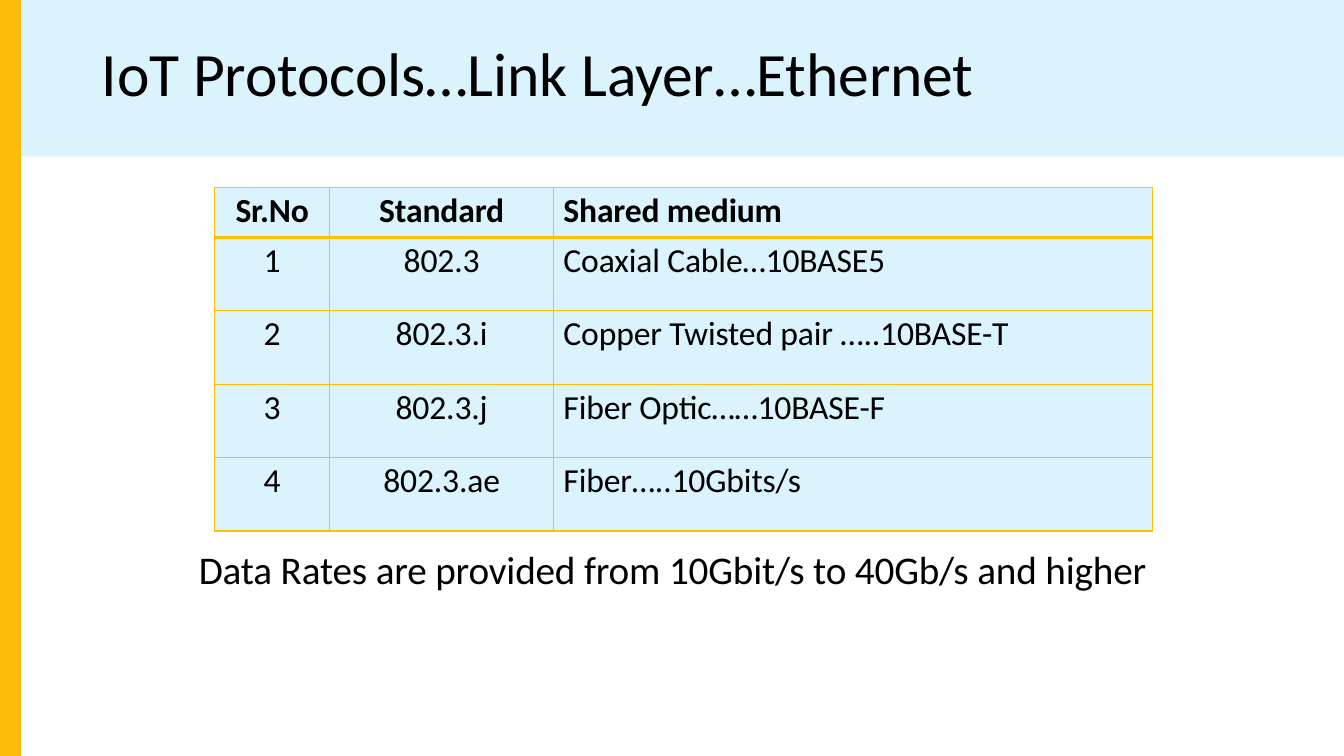
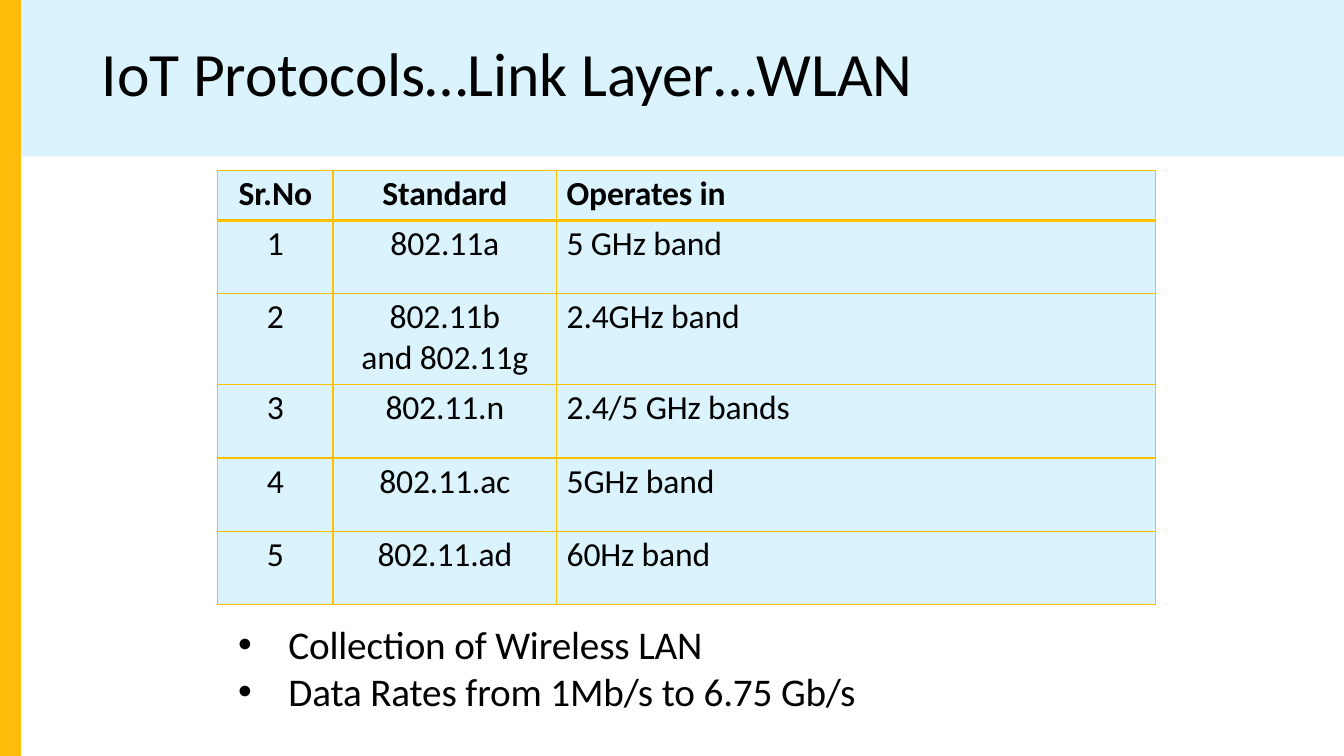
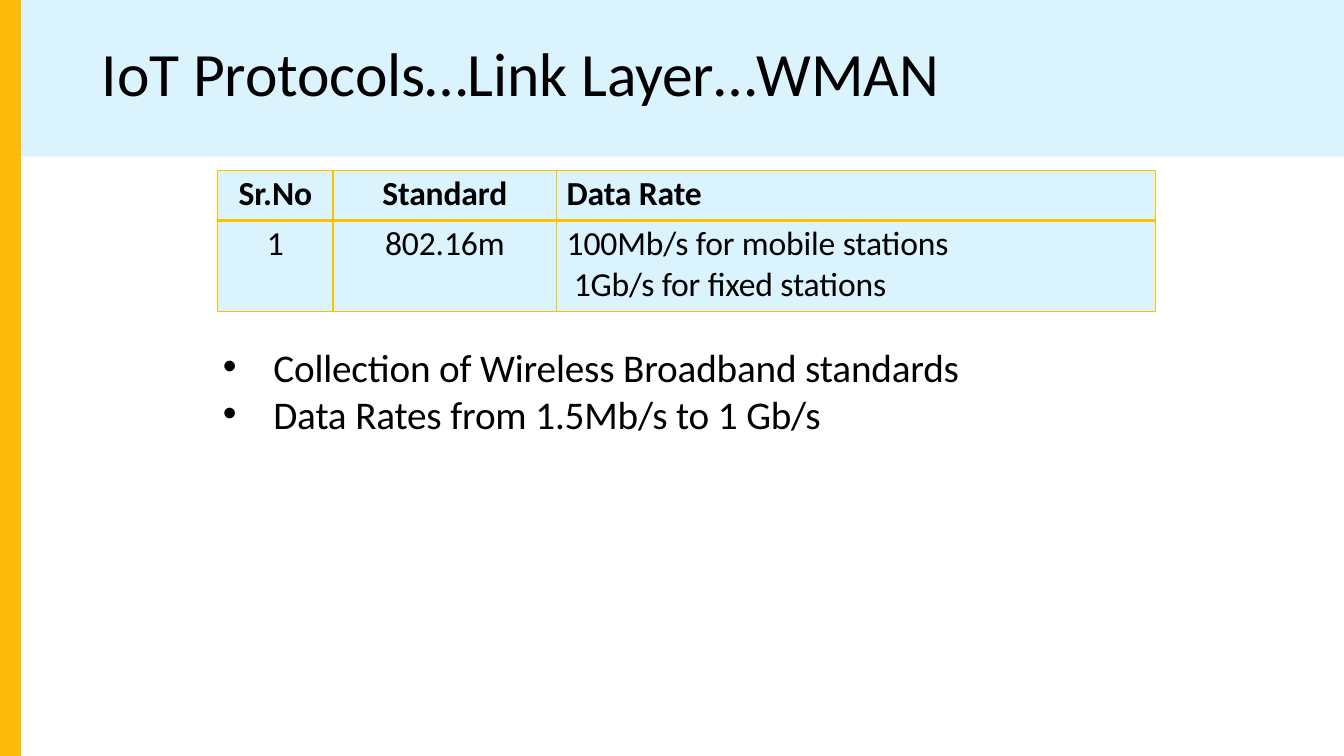
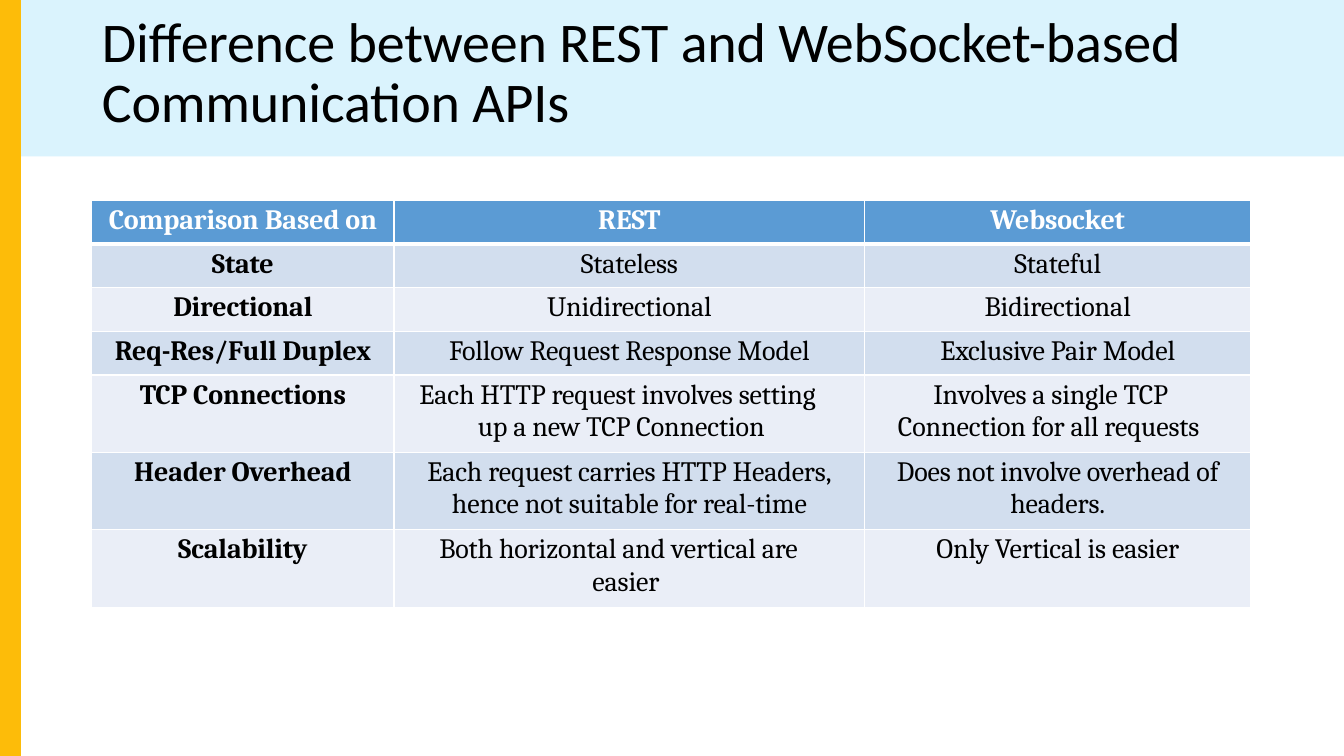
from lxml import etree
from pptx import Presentation
from pptx.dml.color import RGBColor
from pptx.enum.shapes import MSO_SHAPE
from pptx.enum.text import PP_ALIGN
from pptx.oxml.ns import qn
from pptx.util import Cm, Pt

RECT = MSO_SHAPE.RECTANGLE
LEFT, MID = PP_ALIGN.LEFT, PP_ALIGN.CENTER
HUES = {
    "ink": "000000", "white": "FFFFFF", "sky": "DAF3FD", "gold": "FDBC09",
    "rule": "FFC000", "blue": "5B9BD4", "dark": "D2DEEE", "pale": "EAEEF7",
}
SANS, SERIF = "Calibri", "Cambria"
WIDE, HIGH = 33.87, 19.05
SIDE, BAND = 0.53, 3.94
COLS = (2.9, 5.64, 15.09)
HEAD, ROW, TALL = 1.26, 1.85, 2.29

WIRED = [
    ("Sr.No", "Standard", "Shared medium"),
    ("1", "802.3", "Coaxial Cable…10BASE5"),
    ("2", "802.3.i", "Copper Twisted pair …..10BASE-T"),
    ("3", "802.3.j", "Fiber Optic……10BASE-F"),
    ("4", "802.3.ae", "Fiber…..10Gbits/s"),
]
LOCAL = [
    ("Sr.No", "Standard", "Operates in"),
    ("1", "802.11a", "5 GHz band"),
    ("2", "802.11b\nand 802.11g", "2.4GHz band"),
    ("3", "802.11.n", "2.4/5 GHz bands"),
    ("4", "802.11.ac", "5GHz band"),
    ("5", "802.11.ad", "60Hz band"),
]
METRO = [
    ("Sr.No", "Standard", "Data Rate"),
    ("1", "802.16m",
     ("100Mb/s for mobile stations\n1Gb/s for fixed stations", 0.43, -0.18)),
]
# A tuple holds text, left indent and first-line indent.
APIS = [
    ("Comparison Based on", "REST", "Websocket"),
    ("State", "Stateless", "Stateful"),
    ("Directional", "Unidirectional", "Bidirectional"),
    ("Req-Res/Full Duplex", "Follow Request Response Model",
     "Exclusive Pair Model"),
    ("TCP Connections",
     ("Each HTTP request involves setting\nup a new TCP Connection",
      2.11, -1.47),
     ("Involves a single TCP\nConnection for all requests", 0.84, 0.89)),
    ("Header Overhead",
     "Each request carries HTTP Headers,\nhence not suitable for real-time",
     "Does not involve overhead of\nheaders."),
    ("Scalability",
     ("Both horizontal and vertical are\neasier", 5, -3.86),
     "Only Vertical is easier"),
]


def tint(name):
    return RGBColor.from_string(HUES[name])


def clear(frame, top):
    """Set the insets of a text frame or table cell."""
    frame.margin_left = frame.margin_right = frame.margin_bottom = 0
    frame.margin_top = Cm(top)


def write(para, text, size, font=SANS, hue="ink", bold=False, gap=0):
    """Add runs to a paragraph, with a line break at each newline."""
    para.space_before = Pt(gap)
    for num, line in enumerate(text.split("\n")):
        if num:
            para.add_line_break()
        run = para.add_run()
        run.text = line
        run.font.size = Pt(size)
        run.font.name = font
        run.font.bold = bold
        run.font.color.rgb = tint(hue)
        run.font._element.set("spc", "-10")


def indent(para, left, first=0):
    props = para._p.get_or_add_pPr()
    props.set("marL", str(Cm(left)))
    props.set("indent", str(Cm(first)))
    return props


def block(slide, x, y, w, h, hue):
    shape = slide.shapes.add_shape(RECT, Cm(x), Cm(y), Cm(w), Cm(h))
    shape.shadow.inherit = False
    shape.fill.solid()
    shape.fill.fore_color.rgb = tint(hue)
    shape.line.fill.background()


def frame(slide, x, y, w, h, top=0.03):
    box = slide.shapes.add_textbox(Cm(x), Cm(y), Cm(w), Cm(h)).text_frame
    box.word_wrap = True
    clear(box, top)
    return box


def page(deck, text, long=False):
    """Add a slide with its band, side stripe and title."""
    slide = deck.slides.add_slide(deck.slide_layouts[6])
    block(slide, SIDE, 0, WIDE - SIDE, BAND, "sky")
    block(slide, 0, 0, SIDE, HIGH, "gold")
    if long:
        para = frame(slide, 2.57, 0.1, 28.78, 3.61, 0.23).paragraphs[0]
        para.line_spacing = Pt(43.2)
        write(para, text, 40, gap=6.4)
    else:
        para = frame(slide, 2.57, 0.86, 28.78, 1.93).paragraphs[0]
        write(para, text, 44, gap=1)
    return slide


def edge(cell, side, hue, width):
    props = cell._tc.get_or_add_tcPr()
    line = etree.SubElement(props, qn("a:ln" + side), w=str(Pt(width)))
    fill = etree.SubElement(line, qn("a:solidFill"))
    etree.SubElement(fill, qn("a:srgbClr"), val=HUES[hue])


def grid(slide, x, y, cols, rows, data, style):
    """Add a table; style(row, col) gives the look of a cell."""
    table = slide.shapes.add_table(
        len(rows), len(cols), Cm(x), Cm(y), Cm(sum(cols)), Cm(sum(rows))).table
    for col, w in zip(table.columns, cols):
        col.width = Cm(w)
    for row, h in zip(table.rows, rows):
        row.height = Cm(h)
    for r, line in enumerate(data):
        for c, item in enumerate(line):
            look = style(r, c)
            cell = table.cell(r, c)
            clear(cell, look["top"])
            thick = {"T": r == 1, "B": r == 0}
            for side in "LRTB":
                edge(cell, side, look["rule"],
                     look["bar"] if thick.get(side) else 1)
            cell.fill.solid()
            cell.fill.fore_color.rgb = tint(look["fill"])
            para = cell.text_frame.paragraphs[0]
            para.alignment = look["align"]
            if isinstance(item, tuple):
                item, left, first = item
                para.alignment = LEFT
                indent(para, left, first)
            elif look["align"] == LEFT:
                indent(para, 0.25)
            write(para, item, **look["text"])


def plain(r, c):
    """Look of the sky-blue tables."""
    return {"top": 0.08, "rule": "rule", "bar": 2.25, "fill": "sky",
            "align": LEFT if c == 2 else MID,
            "text": {"size": 24, "bold": r == 0, "gap": 2}}


def striped(r, c):
    """Look of the comparison table."""
    fill = "blue" if r == 0 else "dark" if r % 2 else "pale"
    return {"top": 0.1, "rule": "white", "bar": 3, "fill": fill, "align": MID,
            "text": {"size": 20, "font": SERIF, "gap": 3,
                     "hue": "ink" if r else "white",
                     "bold": r == 0 or c == 0}}


def notes(slide, x, y, lines, dots=True):
    """Add lines below a table, bulleted if dots is set."""
    box = frame(slide, x, y, 25, 1.24 * len(lines))
    for num, line in enumerate(lines):
        para = box.add_paragraph() if num else box.paragraphs[0]
        write(para, line, 28, gap=0 if num else 0.9)
        if dots:
            props = indent(para, 1.3, -1.27)
            etree.SubElement(props, qn("a:buFont"), typeface="Arial")
            etree.SubElement(props, qn("a:buChar"), char="•")


def main():
    deck = Presentation()
    deck.slide_width, deck.slide_height = Cm(WIDE), Cm(HIGH)
    link = "IoT Protocols…Link Layer…"

    slide = page(deck, link + "Ethernet")
    grid(slide, 5.41, 4.72, COLS, [HEAD] + [ROW] * 4, WIRED, plain)
    notes(slide, 5.01, 13.72,
          ["Data Rates are provided from 10Gbit/s to 40Gb/s and higher"], False)

    slide = page(deck, link + "WLAN")
    grid(slide, 5.49, 4.29, COLS, [HEAD, ROW, TALL] + [ROW] * 3, LOCAL, plain)
    notes(slide, 5.97, 15.6, ["Collection of Wireless LAN",
                              "Data Rates from 1Mb/s to 6.75 Gb/s"])

    slide = page(deck, link + "WMAN")
    grid(slide, 5.49, 4.29, COLS, [HEAD, TALL], METRO, plain)
    notes(slide, 5.59, 8.61, ["Collection of Wireless Broadband standards",
                              "Data Rates from 1.5Mb/s to 1 Gb/s"])

    slide = page(deck, "Difference between REST and WebSocket-based\n"
                 "Communication APIs", True)
    grid(slide, 2.31, 5.05, (7.62, 11.86, 9.73), [1.1] * 4 + [1.95] * 3,
         APIS, striped)
    deck.save("out.pptx")


if __name__ == "__main__":
    main()
